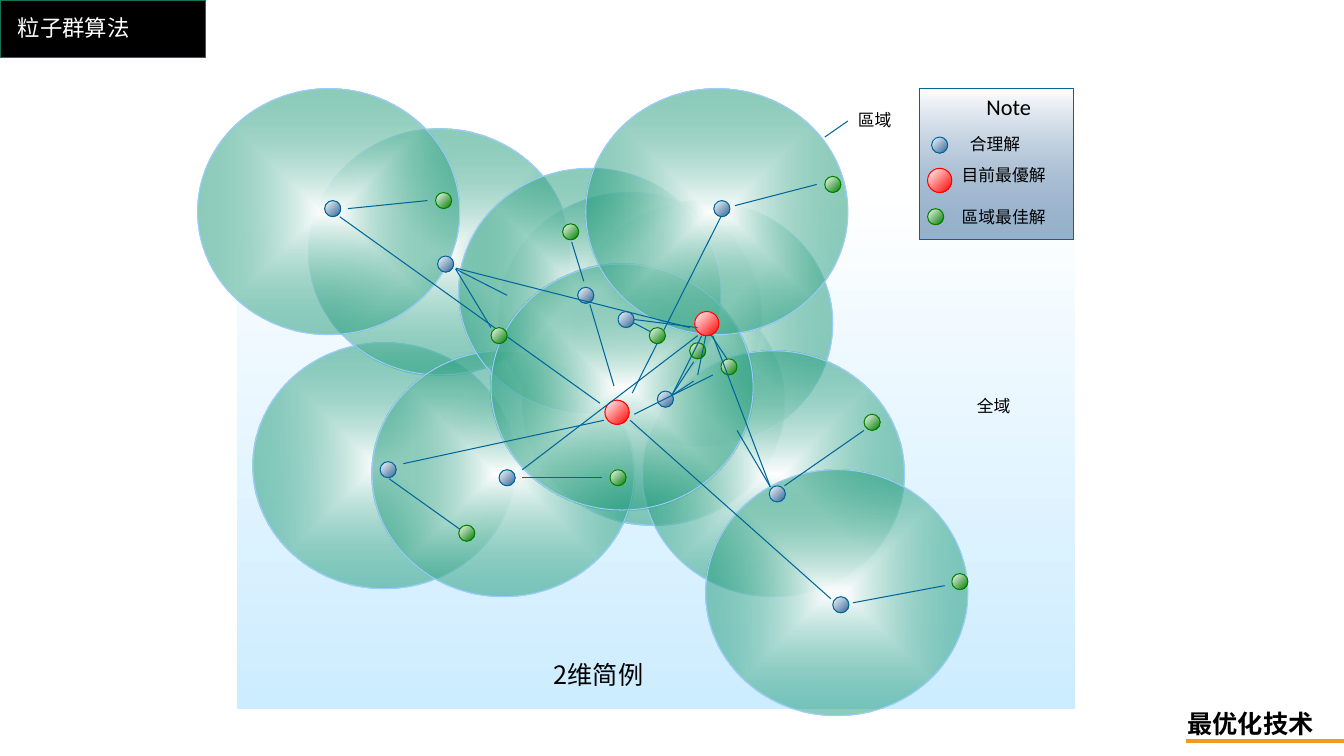
"""Build the particle swarm slide: a two-dimensional search example."""
from lxml.etree import SubElement
from pptx import Presentation
from pptx.dml.color import RGBColor
from pptx.enum.shapes import MSO_CONNECTOR, MSO_SHAPE
from pptx.enum.text import MSO_ANCHOR, MSO_AUTO_SIZE, PP_ALIGN
from pptx.oxml import parse_xml
from pptx.oxml.ns import nsdecls, qn
from pptx.util import Inches, Pt

BLACK = RGBColor(0x00, 0x00, 0x00)
WHITE = RGBColor(0xFF, 0xFF, 0xFF)
DARK_GREEN = RGBColor(0x15, 0x72, 0x59)
ORANGE = RGBColor(0xF1, 0x9D, 0x19)
SKY = RGBColor(0xCC, 0xEC, 0xFF)
JADE = RGBColor(0x1D, 0x9A, 0x78)
PALE_BLUE = RGBColor(0x99, 0xCC, 0xFF)
STEEL = RGBColor(0x33, 0x66, 0x99)
TEAL = RGBColor(0x00, 0x66, 0x99)
RED = RGBColor(0xFF, 0x00, 0x00)
GREEN = RGBColor(0x00, 0x80, 0x00)

LINEAR_45 = '<a:lin ang="2700000" scaled="1"/>'
LINEAR_90 = '<a:lin ang="5400000" scaled="1"/>'
FROM_CENTRE = ('<a:path path="shape"><a:fillToRect l="50000" t="50000" '
               'r="50000" b="50000"/></a:path>')

prs = Presentation()
prs.slide_width, prs.slide_height = Inches(13.33), Inches(7.5)
slide = prs.slides.add_slide(prs.slide_layouts[6])
shapes = slide.shapes


def add_gradient(kind, box, colour, outline, direction, opacity=100):
    shape = shapes.add_shape(kind, *map(Inches, box))
    shape.shadow.inherit = False
    shape.fill.background()
    no_fill = shape._element.spPr.find(qn("a:noFill"))
    no_fill.getparent().replace(no_fill, parse_xml(
        f'<a:gradFill {nsdecls("a")} rotWithShape="1"><a:gsLst>'
        f'<a:gs pos="0"><a:srgbClr val="{WHITE}"/></a:gs>'
        f'<a:gs pos="100000"><a:srgbClr val="{colour}">'
        f'<a:alpha val="{opacity * 1000}"/></a:srgbClr></a:gs>'
        f'</a:gsLst>{direction}</a:gradFill>'))
    if outline is None:
        shape.line.fill.background()
    else:
        shape.line.color.rgb = outline
        shape.line.width = Pt(0.75)


def add_line(start, end, colour, width):
    line = shapes.add_connector(MSO_CONNECTOR.STRAIGHT, *map(Inches, start + end))
    line.line.color.rgb = colour
    line.line.width = Pt(width)
    SubElement(line._element.spPr, qn("a:effectLst"))


title_band = shapes.add_shape(MSO_SHAPE.RECTANGLE, 0, 0, Inches(2.04), Inches(0.57))
title_band.shadow.inherit = False
title_band.fill.solid()
title_band.fill.fore_color.rgb = BLACK
title_band.line.color.rgb = DARK_GREEN
title_band.line.width = Pt(1)
add_line((11.76, 7.35), (13.33, 7.35), ORANGE, 2.5)

add_gradient(MSO_SHAPE.RECTANGLE, (2.35, 1.83, 8.31, 5.2), SKY, None, LINEAR_90)

regions = [(4.95, 1.91), (2.51, 3.4), (5.18, 2.77), (5.66, 1.99), (3.06, 1.28),
           (6.37, 3.48), (3.69, 3.48), (4.55, 1.67), (4.87, 2.62), (7, 4.66),
           (5.81, 0.88), (1.96, 0.88)]
for left, top in regions:
    add_gradient(MSO_SHAPE.OVAL, (left, top, 2.6, 2.44), JADE, PALE_BLUE,
                 FROM_CENTRE, 50)

add_gradient(MSO_SHAPE.RECTANGLE, (9.12, 0.88, 1.53, 1.5), STEEL, TEAL, LINEAR_90, 50)

feasible = (STEEL, TEAL, 0.16)
current_best = (RED, RED, 0.24)
local_best = (GREEN, GREEN, 0.16)

first_solutions = [
    (feasible, [(3.22, 1.99), (3.77, 4.58), (7.08, 1.99), (5.73, 2.85),
                (8.26, 5.92), (6.05, 4.03), (9.24, 1.36)]),
    (current_best, [(6, 3.97), (9.2, 1.67)]),
    (local_best, [(4.32, 1.91), (8.18, 1.75), (4.55, 5.21), (9.44, 5.69),
                  (5.58, 2.22), (7.15, 3.56), (9.2, 2.07)]),
]
first_moves = [
    ((8.41, 1.2), (8.18, 1.36)),
    ((7.29, 2.04), (8.1, 1.83)),
    ((7.15, 2.15), (6.27, 3.9)),
    ((3.45, 2.07), (4.24, 1.99)),
    ((3.37, 2.15), (5.95, 4)),
    ((5.67, 2.4), (5.79, 2.79)),
    ((5.85, 3.02), (6.09, 3.83)),
    ((4, 4.6), (5.99, 4.17)),
    ((4.56, 5.25), (3.86, 4.75)),
    ((9.37, 5.81), (8.46, 5.98)),
    ((6.25, 4.17), (8.24, 5.94)),
]
second_solutions = [
    (feasible, [(4.34, 2.54), (6.92, 3.17), (6.13, 3.09), (4.95, 4.66),
                (6.52, 3.88), (7.63, 4.82)]),
    (current_best, [(6.89, 3.09)]),
    (local_best, [(6.05, 4.66), (4.87, 3.25), (8.57, 4.11), (6.44, 3.25),
                  (6.84, 3.4)]),
]
second_moves = [
    ((6.29, 4.11), (7.07, 3.72)),
    ((5.18, 4.74), (5.97, 4.74)),
    ((5.18, 4.66), (6.92, 3.33)),
    ((4.52, 2.67), (4.87, 3.25)),
    ((4.52, 2.66), (6.84, 3.25)),
    ((4.52, 2.67), (5.03, 2.93)),
    ((6.28, 3.2), (6.45, 3.29)),
    ((6.29, 3.17), (6.92, 3.25)),
    ((7, 3.33), (6.92, 3.72)),
    ((7.05, 3.32), (7.21, 3.56)),
    ((6.67, 3.91), (6.96, 3.33)),
    ((6.88, 3.59), (6.67, 3.91)),
    ((6.67, 3.92), (6.88, 3.78)),
    ((7.78, 4.82), (8.57, 4.27)),
    ((7.31, 4.27), (7.64, 4.83)),
    ((7.07, 3.33), (7.64, 4.83)),
]
for solutions, moves in [(first_solutions, first_moves),
                         (second_solutions, second_moves)]:
    for (colour, outline, size), corners in solutions:
        for left, top in corners:
            add_gradient(MSO_SHAPE.OVAL, (left, top, size, size), colour, outline,
                         LINEAR_45)
    for start, end in moves:
        add_line(start, end, TEAL, 0.75)

labels = [
    ("最优化技术", (11.68, 6.98, 1.46, 0.4), 18, "Calibri"),
    ("2维简例", (3.14, 6.53, 5.59, 0.32), 18, "Noto Sans CJK SC"),
    ("Note", (9.67, 0.88, 0.67, 0.37), 16, "Calibri"),
    ("合理解", (9.52, 1.28, 0.7, 0.3), 12, "Calibri"),
    ("目前最優解", (9.44, 1.59, 1.03, 0.3), 12, "Calibri"),
    ("區域最佳解", (9.44, 2, 1.03, 0.3), 12, "Calibri"),
    ("全域", (9.59, 3.88, 0.53, 0.3), 12, "Calibri"),
    ("區域", (8.41, 1.04, 0.53, 0.3), 12, "Calibri"),
    ("粒子群算法", (0.08, 0.01, 11.5, 0.57), 16, "Calibri"),
]
for wording, box, size, font in labels:
    is_title = wording == "粒子群算法"
    is_course = wording == "最优化技术"
    is_caption = wording == "2维简例"
    frame = shapes.add_textbox(*map(Inches, box)).text_frame
    frame.word_wrap = is_title
    if is_title or is_caption:
        frame.vertical_anchor = MSO_ANCHOR.MIDDLE
    else:
        frame.auto_size = MSO_AUTO_SIZE.SHAPE_TO_FIT_TEXT
    paragraph = frame.paragraphs[0]
    paragraph.alignment = PP_ALIGN.LEFT if is_title or is_course else PP_ALIGN.CENTER
    if is_title:
        paragraph.line_spacing = 0.9
    run = paragraph.add_run()
    run.text = wording
    run.font.name = font
    run.font.size = Pt(size)
    run.font.bold = is_course
    run.font.color.rgb = WHITE if is_title else BLACK

prs.save("out.pptx")
